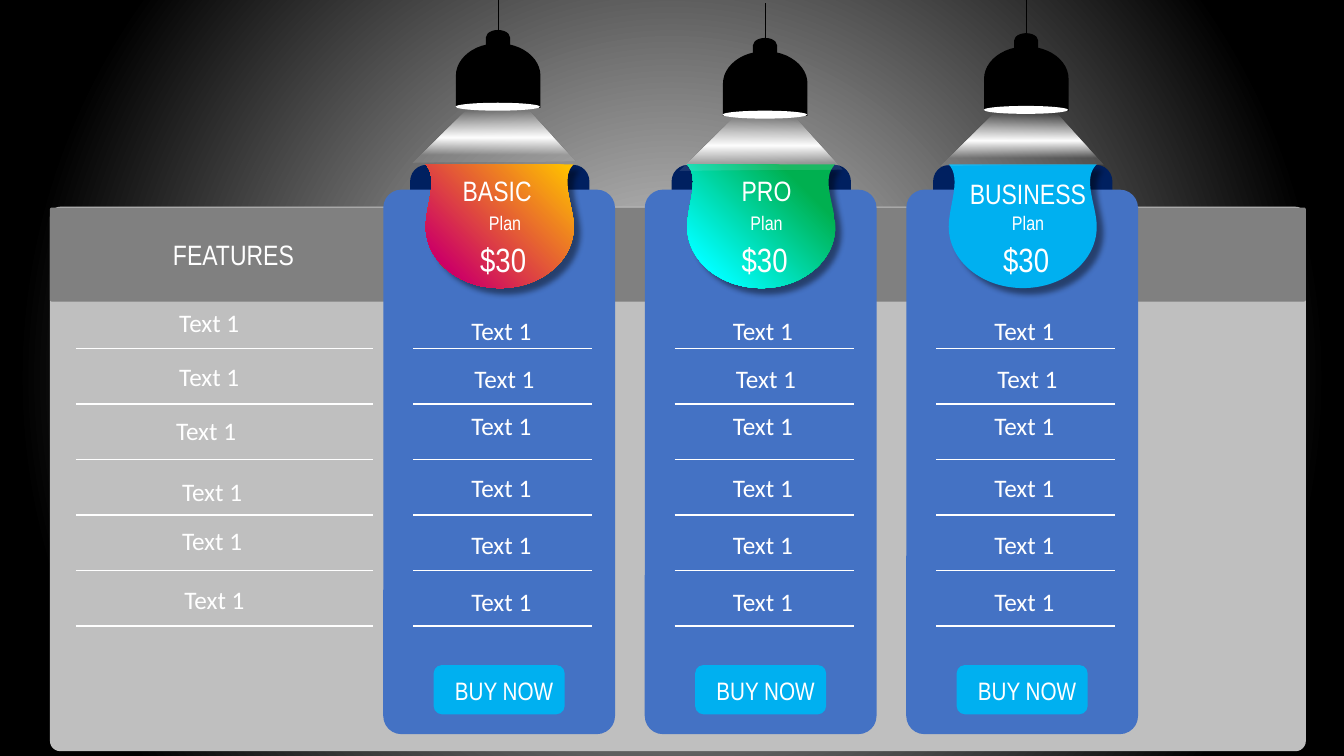
from lxml.etree import SubElement
from pptx import Presentation
from pptx.dml.color import RGBColor
from pptx.enum.shapes import MSO_CONNECTOR, MSO_SHAPE as Preset
from pptx.enum.text import MSO_AUTO_SIZE as AutoSize, PP_ALIGN as Align
from pptx.oxml.ns import qn
from pptx.util import Cm, Pt

WHITE = RGBColor(0xFF, 0xFF, 0xFF)
BLACK = RGBColor(0x00, 0x00, 0x00)
LIGHT_GREY = RGBColor(0xD9, 0xD9, 0xD9)
PANEL_GREY = RGBColor(0xBF, 0xBF, 0xBF)
HEADER_GREY = RGBColor(0x80, 0x80, 0x80)
NAVY = RGBColor(0x00, 0x20, 0x60)
BLUE = RGBColor(0x44, 0x72, 0xC4)
SKY = RGBColor(0x00, 0xB0, 0xF0)
GOLD = RGBColor(0xFF, 0xC0, 0x00)
MAGENTA = RGBColor(0xCC, 0x00, 0x66)
GREEN = RGBColor(0x00, 0xB0, 0x50)
CYAN = RGBColor(0x00, 0xFF, 0xFF)

NO_GRID_STYLE = "{2D5ABB26-0587-4C30-8999-92F81FD0307C}"
ROW_COUNT, ROW_HEIGHT, TABLE_TOP = 7, 1.4, 7.38
CARD_LEFT, CARD_PITCH = 9.66, 6.59

# All lengths below are centimetres: boxes are (left, top, width, height)
PLANS = [  # name, name box in the card, alignment, badge stops
    ("BASIC", (1.75, 4.24, 2.64, 1.12), Align.LEFT, [(3, GOLD, 100), (85, MAGENTA, 100)]),
    ("PRO", (1.75, 4.24, 2.64, 1.12), Align.CENTER, [(20, GREEN, 100), (85, CYAN, 100)]),
    ("BUSINESS", (1.35, 4.33, 3.84, 1.12), Align.LEFT, None),
]
PLAN_ROWS = [(0.75, 7.82), (0.83, 9.02), (0.75, 10.21),
             (0.75, 11.77), (0.75, 13.21), (0.75, 14.66)]
FEATURE_ROWS = [(3.05, 7.62), (3.05, 8.99), (2.97, 10.34),
                (3.12, 11.89), (3.12, 13.11), (3.18, 14.6)]
LAMPS = [(12.55, 0), (19.28, 0.2), (25.86, 0.08)]  # cord position, drop
BADGE_CURVES = [  # start, then two handles and an end for each curve
    (3.73, 0),
    (3.35, 0.36), (3.73, 1.04), (3.73, 1.57),
    (3.73, 2.44), (2.9, 3.12), (1.87, 3.12),
    (0.84, 3.12), (0, 2.44), (0, 1.57),
    (0, 1.04), (0.33, 0.36), (0, 0),
]
BEAM = [(-2.16, 4.09), (1.96, 4.06), (0.76, 2.77), (-0.79, 2.77)]


def lengths(box):
    return [Cm(value) for value in box]


def shift(box, left, top=0):
    return (box[0] + left, box[1] + top, *box[2:])


def finish(shape, color):
    shape.shadow.inherit = False
    shape.line.fill.background()
    if color is not None:
        shape.fill.solid()
        shape.fill.fore_color.rgb = color
    return shape


def add_preset(shapes, preset, box, color, rounding=None, rotation=0):
    shape = finish(shapes.add_shape(preset, *lengths(box)), color)
    shape.rotation = rotation
    if rounding is not None:
        shape.adjustments[0] = rounding
    return shape


def add_outline(shapes, points, color=None):
    corners = [lengths(point) for point in points]
    builder = shapes.build_freeform(*corners[0])
    builder.add_line_segments(corners[1:], close=True)
    return finish(builder.convert_to_shape(), color)


def bend_outline(shape):
    """Turn every three straight segments into one cubic curve."""
    segments = list(shape.element.iter(qn("a:lnTo")))
    for first in range(0, len(segments), 3):
        curve = segments[first]
        for segment in segments[first + 1:first + 3]:
            curve.append(segment[0])
            segment.getparent().remove(segment)
        curve.tag = qn("a:cubicBezTo")


def paint_gradient(fill, element, stops, angle=None):
    """Linear at a clockwise angle, or circular from the centre without one."""
    fill.gradient()
    gradient = next(element.iter(qn("a:gradFill")))
    gradient.clear()
    stop_list = SubElement(gradient, qn("a:gsLst"))
    for position, color, opacity in stops:
        stop = SubElement(stop_list, qn("a:gs"), pos=str(position * 1000))
        tint = SubElement(stop, qn("a:srgbClr"), val=str(color))
        if opacity < 100:
            SubElement(tint, qn("a:alpha"), val=str(opacity * 1000))
    if angle is None:
        circle = SubElement(gradient, qn("a:path"), {"path": "circle"})
        SubElement(circle, qn("a:fillToRect"), dict.fromkeys("ltrb", "50000"))
    else:
        SubElement(gradient, qn("a:lin"), ang=str(angle * 60000), scaled="0")


def add_shadow(shape):
    effects = next(shape.element.iter(qn("a:effectLst")))
    shadow = SubElement(effects, qn("a:outerShdw"), blurRad=str(Pt(4)), dist=str(Pt(6)),
                        dir=str(45 * 60000), algn="tl", rotWithShape="0")
    tint = SubElement(shadow, qn("a:srgbClr"), val=str(BLACK))
    SubElement(tint, qn("a:alpha"), val="43000")


def add_text(slide, box, text, size=18, font="Arial Narrow", align=Align.CENTER):
    frame = slide.shapes.add_textbox(*lengths(box)).text_frame
    frame.word_wrap = True
    frame.auto_size = AutoSize.SHAPE_TO_FIT_TEXT
    para = frame.paragraphs[0]
    para.text, para.alignment = text, align
    para.font.name, para.font.size, para.font.color.rgb = font, Pt(size), WHITE


def add_ruled_rows(slide, left, width, spots):
    """Empty table whose inner rules separate the labels at the given spots."""
    box = (left, TABLE_TOP, width, ROW_COUNT * ROW_HEIGHT)
    holder = slide.shapes.add_table(ROW_COUNT, 1, *lengths(box))
    next(holder.element.iter(qn("a:tableStyleId"))).text = NO_GRID_STYLE
    table = holder.table
    table.first_row = table.horz_banding = False
    for index in range(ROW_COUNT):
        cell = table.cell(index, 0)
        properties = cell._tc.get_or_add_tcPr()
        for tag, ruled in (("a:lnT", index > 0), ("a:lnB", index < ROW_COUNT - 1)):
            if ruled:
                rule = SubElement(properties, qn(tag), w=str(Pt(1)))
                paint = SubElement(rule, qn("a:solidFill"))
                SubElement(paint, qn("a:srgbClr"), val=str(WHITE))
        cell.fill.background()
    for spot in spots:
        add_text(slide, (*spot, 4.45, 1.02), "Text 1", font="Calibri")


def draw_panel(slide, box):
    left, top, width, height = box
    add_preset(slide.shapes, Preset.ROUNDED_RECTANGLE, box, PANEL_GREY, 0.019)
    add_preset(slide.shapes, Preset.ROUNDED_RECTANGLE, (left, top + 0.02, width, 2.37),
               HEADER_GREY, 0.019)


def draw_plan(slide, box, name, name_box, align, stops):
    left = box[0]
    # Folded ends of the badge, then the card over them
    for ear in (4.37, 0.66):
        add_preset(slide.shapes, Preset.FLOWCHART_DELAY, (left + ear, 4.17, 0.84, 0.81),
                   NAVY, rotation=270)
    add_preset(slide.shapes, Preset.ROUNDED_RECTANGLE, box, BLUE, 0.078)
    # Badge
    points = [shift(point, left + 1.07, 4.14) for point in BADGE_CURVES]
    badge = add_outline(slide.shapes, points, None if stops else SKY)
    bend_outline(badge)
    if stops:
        paint_gradient(badge.fill, badge.element, stops, 135)
    add_shadow(badge)
    # Button, rows and labels
    add_preset(slide.shapes, Preset.ROUNDED_RECTANGLE, (left + 1.27, 16.76, 3.3, 1.24), SKY)
    add_ruled_rows(slide, left + 0.75, 4.52, [shift(spot, left) for spot in PLAN_ROWS])
    add_text(slide, shift(name_box, left), name, 20, align=align)
    add_text(slide, (left + 1.75, 5.2, 2.64, 0.86), "Plan", 14)
    add_text(slide, (left + 1.7, 5.89, 2.64, 1.27), "$30", 24)
    add_text(slide, (left + 1.24, 16.89, 3.61, 1.02), "BUY NOW")


def draw_features(slide, left):
    add_ruled_rows(slide, left, 7.49, FEATURE_ROWS)
    add_text(slide, (left + 2.2, 5.87, 4.7, 1.12), "FEATURES", 20, align=Align.LEFT)


def draw_lamp(slide, x, drop):
    shapes = slide.shapes.add_group_shape().shapes
    # Dome and cap
    for part in ((-0.81, 0.84, 1.63, 2.13), (-0.19, 0.64, 0.38, 0.61)):
        add_preset(shapes, Preset.FLOWCHART_DELAY, shift(part, x, drop), BLACK, rotation=270)
    # Cord
    cord = shapes.add_connector(MSO_CONNECTOR.STRAIGHT,
                                *lengths((x, drop + 0.76, x, drop - 0.13)))
    cord.line.color.rgb, cord.line.width = BLACK, Pt(0.5)
    SubElement(cord.element.spPr, qn("a:effectLst"))
    # Glowing rim and beam
    add_preset(shapes, Preset.OVAL, shift((-1.07, 2.59, 2.13, 0.2), x, drop), WHITE)
    beam = add_outline(shapes, [shift(point, x, drop) for point in BEAM])
    paint_gradient(beam.fill, beam.element,
                   [(3, WHITE, 0), (53, WHITE, 100), (85, WHITE, 11)], 90)


def main():
    deck = Presentation()
    deck.slide_width, deck.slide_height = Cm(33.87), Cm(19.05)
    slide = deck.slides.add_slide(deck.slide_layouts[6])
    paint_gradient(slide.background.fill, slide.element,
                   [(3, LIGHT_GREY, 100), (85, BLACK, 100)])
    draw_panel(slide, (1.26, 5.21, 31.65, 13.72))
    for index, plan in enumerate(PLANS):
        draw_plan(slide, (CARD_LEFT + index * CARD_PITCH, 4.78, 5.84, 13.72), *plan)
    draw_features(slide, 1.91)
    for lamp in LAMPS:
        draw_lamp(slide, *lamp)
    deck.save("out.pptx")


if __name__ == "__main__":
    main()
